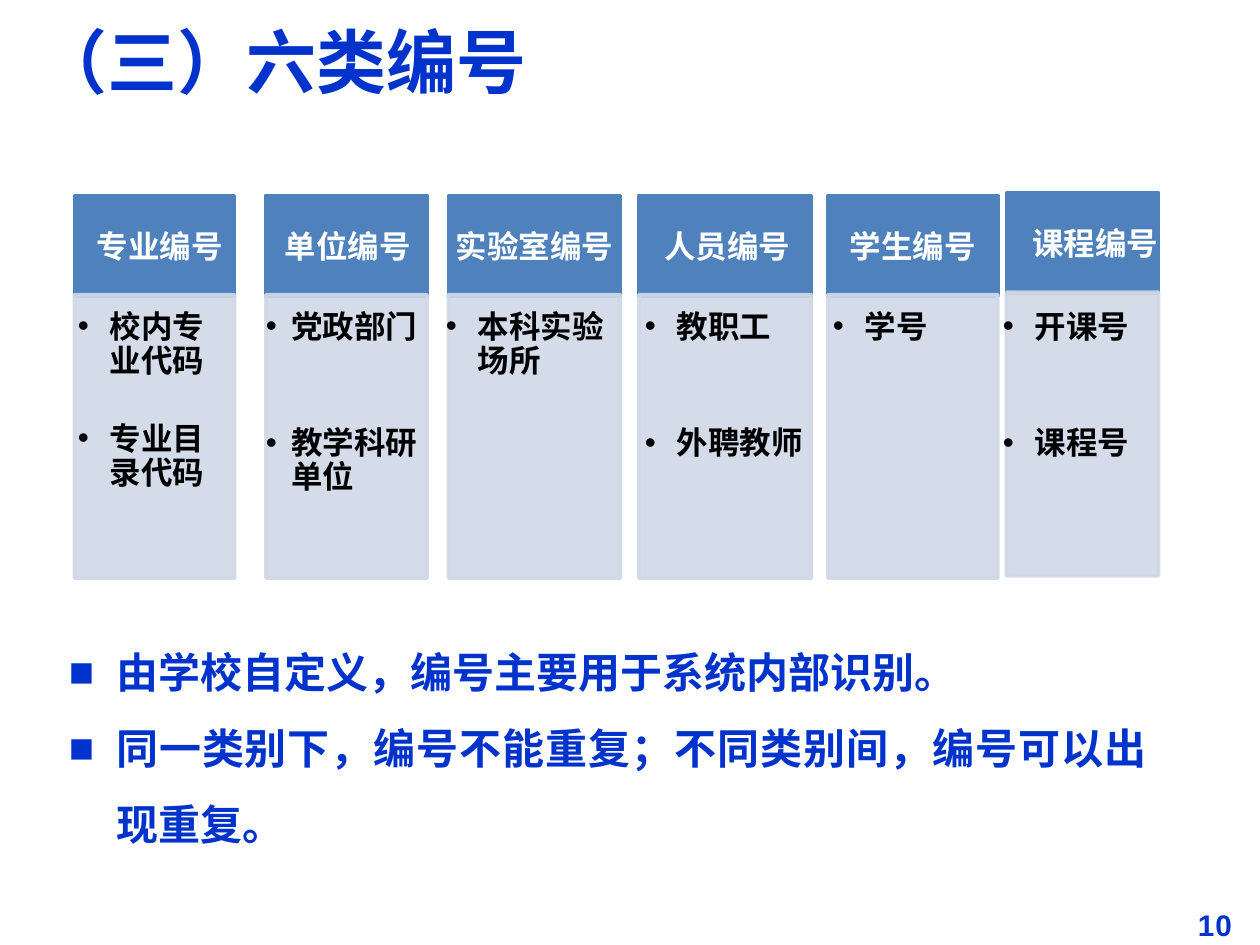
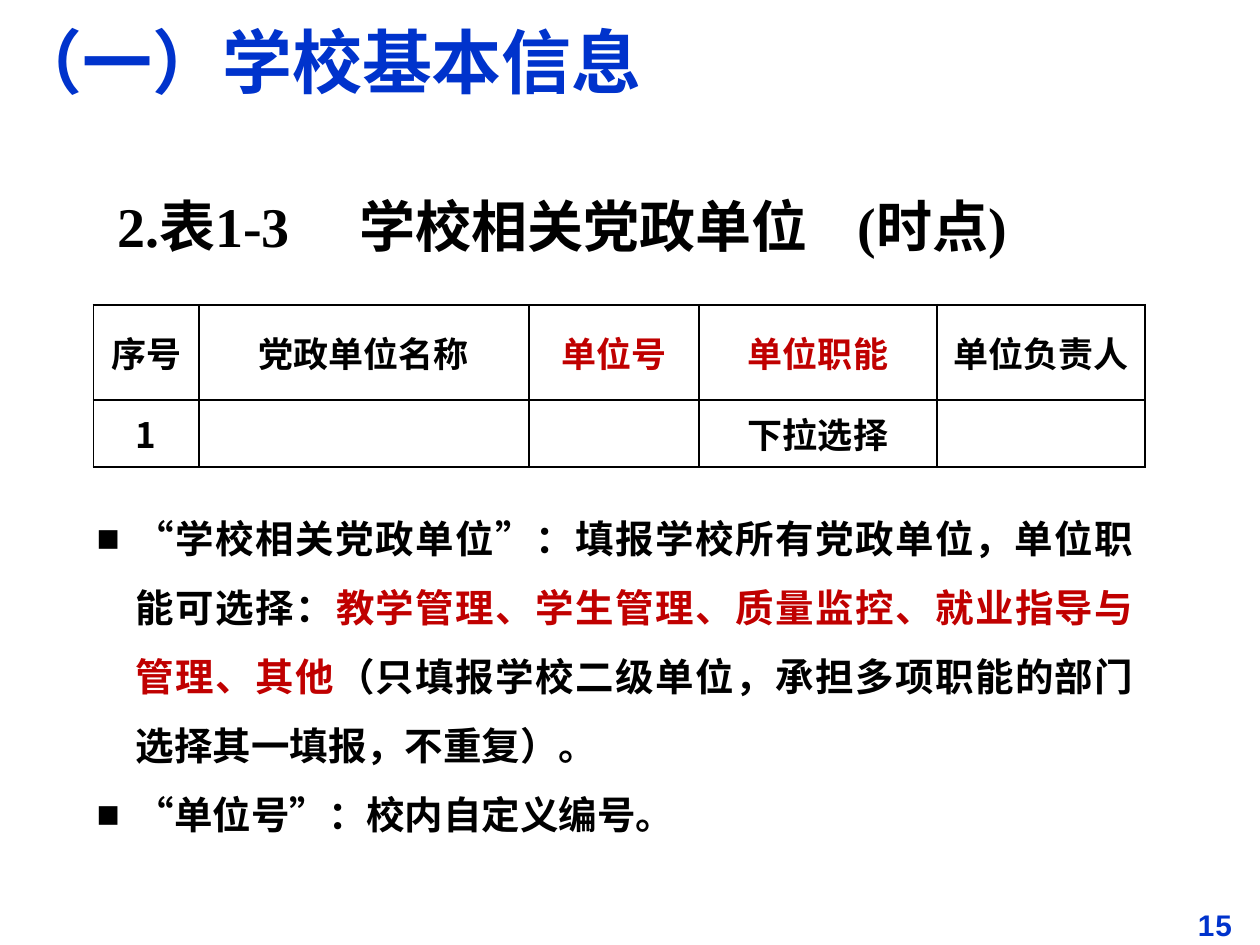
from lxml import etree
from pptx import Presentation
from pptx.dml.color import RGBColor
from pptx.enum.shapes import MSO_SHAPE
from pptx.enum.text import MSO_ANCHOR, MSO_AUTO_SIZE, PP_ALIGN
from pptx.oxml.ns import qn
from pptx.util import Cm, Pt

RECTANGLE = MSO_SHAPE.RECTANGLE
TOP, MIDDLE = MSO_ANCHOR.TOP, MSO_ANCHOR.MIDDLE
LEFT, CENTER, JUSTIFY = PP_ALIGN.LEFT, PP_ALIGN.CENTER, PP_ALIGN.JUSTIFY
NO_FIT = MSO_AUTO_SIZE.NONE

COLORS = {
    "accent": "0033CC",
    "header": "4F81BD",
    "panel": "CFD8E7",
    "alert": "C00000",
    "text": "000000",
    "paper": "FFFFFF",
}
SERIF, SANS, CELL, HAN = "Times New Roman", "Arial", "Calibri", "Noto Sans CJK SC"
TITLE_AND_CONTENT = 1
PLAIN_INSETS = (0.25, 0.13, 0.25, 0.13)
BODY_INSETS = (0.25, 0.2, 0.25, 0.13)
LABEL_INSETS = (0.43, 0.25, 0.43, 0.25)
LIST_INSETS = (0.33, 0.33, 0.43, 0.48)
CELL_INSETS = (0.18, 0.1, 0.18, 0.1)


def rgb(color):
    return RGBColor.from_string(COLORS[color])


class Deck:
    def __init__(self):
        self.presentation = Presentation()
        self.presentation.slide_width = Cm(25.4)
        self.presentation.slide_height = Cm(19.05)
        self.slide = None

    def new_slide(self, title, title_left, number):
        layout = self.presentation.slide_layouts[TITLE_AND_CONTENT]
        self.slide = self.presentation.slides.add_slide(layout)
        heading = self.slide.shapes.title
        self.place(heading, title_left, 0.33, 20.8, 1.8)
        self.frame(heading, PLAIN_INSETS, MIDDLE)
        self.style_runs(heading.text_frame.paragraphs[0], [(title, "accent")], 40)
        page = self.text(self.slide.shapes, (23.9, 18.14, 1.5, 0.99), number,
                         17, "accent", font=SANS)
        page.runs[0].font._element.set("spc", "50")

    def place(self, shape, left, top, width, height):
        shape.left, shape.top = Cm(left), Cm(top)
        shape.width, shape.height = Cm(width), Cm(height)

    def frame(self, shape, insets, anchor=TOP):
        frame = shape.text_frame
        frame.word_wrap = True
        frame.auto_size = NO_FIT
        frame.vertical_anchor = anchor
        (frame.margin_left, frame.margin_top,
         frame.margin_right, frame.margin_bottom) = map(Cm, insets)
        return frame

    def style_runs(self, paragraph, parts, size, align=LEFT, font=SERIF):
        paragraph.alignment = align
        for words, color in parts:
            run = paragraph.add_run()
            run.text = words
            run.font.size = Pt(size)
            run.font.bold = True
            run.font.name = font
            run.font.color.rgb = rgb(color)
            properties = run.font._element
            properties.set("lang", "zh-CN")
            etree.SubElement(properties, qn("a:ea"), typeface=HAN)

    def text(self, shapes, box, words, size, color, align=LEFT,
             insets=PLAIN_INSETS, anchor=TOP, font=SERIF):
        textbox = shapes.add_textbox(*map(Cm, box))
        paragraph = self.frame(textbox, insets, anchor).paragraphs[0]
        self.style_runs(paragraph, [(words, color)], size, align, font)
        return paragraph

    def bullets(self, frame, items, size, pitch, mark, indent, hanging,
                align=LEFT, gap=0):
        for index, parts in enumerate(items):
            paragraph = frame.add_paragraph() if index else frame.paragraphs[0]
            self.style_runs(paragraph, parts, size, align)
            paragraph.line_spacing = Pt(pitch)
            paragraph.space_before = Pt(gap if index else 0)
            paragraph.space_after = Pt(0)
            properties = paragraph._p.get_or_add_pPr()
            properties.set("marL", str(Cm(indent)))
            properties.set("indent", str(-Cm(hanging)))
            etree.SubElement(properties, qn("a:buFont"), typeface=SANS)
            etree.SubElement(properties, qn("a:buChar"), char=mark)

    def body(self, box, items, size, pitch, indent):
        holder = self.slide.placeholders[1]
        self.place(holder, *box)
        frame = self.frame(holder, BODY_INSETS)
        self.bullets(frame, items, size, pitch, "■", indent, indent, JUSTIFY)

    def block(self, shapes, box, color, opacity=100):
        block = shapes.add_shape(RECTANGLE, *map(Cm, box))
        block.shadow.inherit = False
        block.fill.solid()
        block.fill.fore_color.rgb = rgb(color)
        block.line.color.rgb = rgb(color)
        block.line.width = Pt(2)
        if opacity < 100:
            for shade in block._element.spPr.iter(qn("a:srgbClr")):
                etree.SubElement(shade, qn("a:alpha"), val=str(opacity * 1000))

    def card(self, label, items, top, block_span, label_span, list_span,
             hanging=0.64, gap=47):
        shapes = self.slide.shapes.add_group_shape().shapes
        left, width = block_span
        self.block(shapes, (left, top, width, 2.03), "header")
        self.text(shapes, (label_span[0], top, label_span[1], 2.03), label, 18,
                  "paper", CENTER, LABEL_INSETS, MIDDLE)
        self.block(shapes, (left, top + 2, width, 5.72), "panel", 89)
        listing = shapes.add_textbox(Cm(list_span[0]), Cm(5.94),
                                     Cm(list_span[1]), Cm(5.72))
        self.bullets(self.frame(listing, LIST_INSETS),
                     [[(item, "text")] for item in items],
                     18, 19.4, "•", 0.64, hanging, gap=gap)

    def border(self, cell, side, width):
        line = etree.SubElement(cell._tc.get_or_add_tcPr(), qn("a:" + side),
                                w=str(Pt(width)))
        fill = etree.SubElement(line, qn("a:solidFill"))
        etree.SubElement(fill, qn("a:srgbClr"), val=COLORS["text"])

    def table(self, left, top, widths, heights, rows):
        table = self.slide.shapes.add_table(
            len(rows), len(widths), Cm(left), Cm(top),
            Cm(sum(widths)), Cm(sum(heights))).table
        table.first_row = table.horz_banding = False
        for column, width in zip(table.columns, widths):
            column.width = Cm(width)
        for row, height in zip(table.rows, heights):
            row.height = Cm(height)
        for r, row in enumerate(rows):
            for c, (words, color) in enumerate(row):
                cell = table.cell(r, c)
                cell.vertical_anchor = MIDDLE
                (cell.margin_left, cell.margin_top,
                 cell.margin_right, cell.margin_bottom) = map(Cm, CELL_INSETS)
                for side in ("lnL", "lnR", "lnT", "lnB"):
                    self.border(cell, side, 1.5 if side == "lnT" and r == 0 else 1)
                cell.fill.solid()
                cell.fill.fore_color.rgb = rgb("paper")
                if words:
                    self.style_runs(cell.text_frame.paragraphs[0], [(words, color)],
                                    20, CENTER, HAN if words.isdigit() else CELL)


deck = Deck()

deck.new_slide("（三）六类编号", 0.5, "10")
deck.body((1.14, 12.32, 22.23, 4.45), [
    [("由学校自定义，编号主要用于系统内部识别。", "accent")],
    [("同一类别下，编号不能重复；不同类别间，编号可以出现重复。", "accent")],
], 24, 43.4, 0.95)
deck.card("专业编号", ["校内专业代码", "专业目录代码"], 3.94,
          (1.5, 3.23), (1.32, 3.81), (1.24, 3.81), gap=25)
deck.card("单位编号", ["党政部门", "教学科研单位"], 3.94,
          (5.36, 3.25), (5.18, 3.66), (4.9, 3.96), hanging=0.51)
deck.card("实验室编号", ["本科实验场所"], 3.94,
          (9.04, 3.47), (8.66, 4.24), (8.66, 4.04))
deck.card("人员编号", ["教职工", "外聘教师"], 3.94,
          (12.88, 3.48), (12.67, 3.99), (12.67, 3.99))
deck.card("学生编号", ["学号"], 3.94,
          (16.69, 3.43), (16.69, 3.43), (16.46, 3.43))
deck.card("课程编号", ["开课号", "课程号"], 3.89,
          (20.29, 3.07), (20.29, 3.58), (19.89, 3.58))

deck.new_slide("（一）学校基本信息", 0, "15")
caption = deck.text(deck.slide.shapes, (2.11, 3.73, 19.2, 1.63),
                    "2.表1-3\t学校相关党政单位\t(时点)", 32, "text")
tab_stops = etree.SubElement(caption._p.get_or_add_pPr(), qn("a:tabLst"))
for position in (4.88, 14.93):
    etree.SubElement(tab_stops, qn("a:tab"), pos=str(Cm(position)), algn="l")
deck.table(1.88, 6.15, [2.13, 6.65, 3.43, 4.8, 4.19], [1.91, 1.35], [
    [("序号", "text"), ("党政单位名称", "text"), ("单位号", "alert"),
     ("单位职能", "alert"), ("单位负责人", "text")],
    [("1", "text"), ("", "text"), ("", "text"),
     ("下拉选择", "text"), ("", "text")],
])
deck.body((1.7, 9.73, 21.41, 7.32), [
    [("“学校相关党政单位”：填报学校所有党政单位，单位职能可选择：", "text"),
     ("教学管理、学生管理、质量监控、就业指导与管理、其他", "alert"),
     ("（只填报学校二级单位，承担多项职能的部门选择其一填报，不重复）。", "text")],
    [("“单位号”：校内自定义编号。", "text")],
], 22, 39.4, 0.79)

deck.presentation.save("out.pptx")
